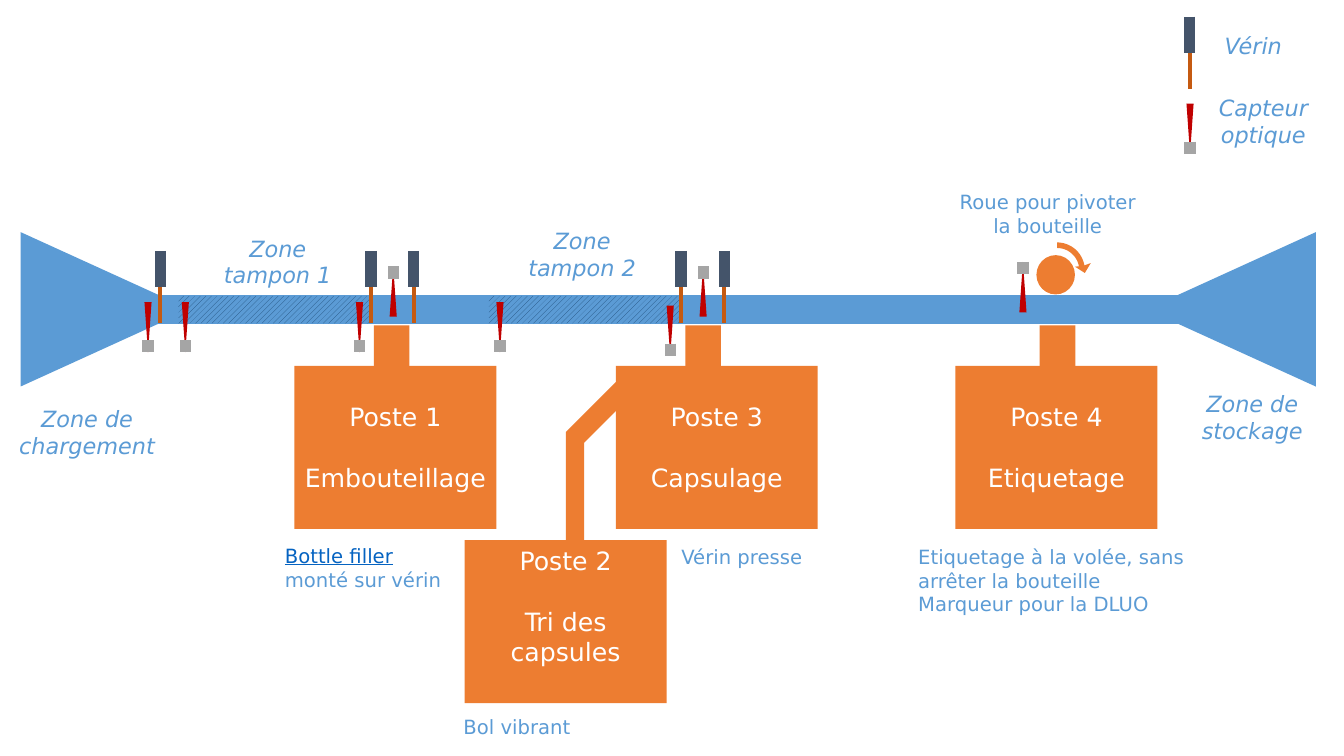
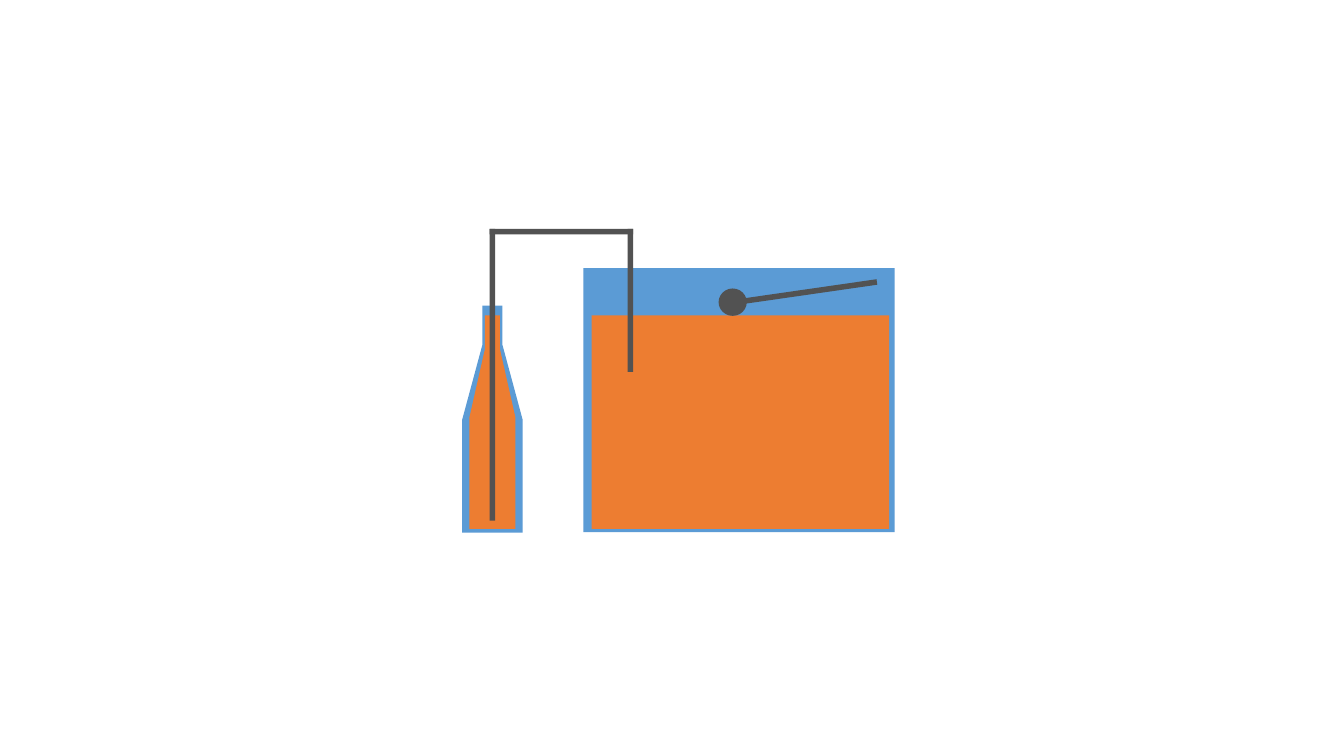
from math import cos, radians, sin

from lxml import etree
from pptx import Presentation
from pptx.dml.color import RGBColor
from pptx.enum.dml import MSO_PATTERN
from pptx.enum.shapes import MSO_CONNECTOR, MSO_SHAPE
from pptx.enum.text import MSO_ANCHOR, PP_ALIGN
from pptx.oxml.ns import qn
from pptx.util import Cm, Pt

RECT = MSO_SHAPE.RECTANGLE
TRIANGLE = MSO_SHAPE.ISOSCELES_TRIANGLE
OVAL = MSO_SHAPE.OVAL
STRAIGHT = MSO_CONNECTOR.STRAIGHT
HATCH = MSO_PATTERN.WIDE_UPWARD_DIAGONAL
LEFT, CENTER = PP_ALIGN.LEFT, PP_ALIGN.CENTER
MIDDLE = MSO_ANCHOR.MIDDLE

COLORS = {
    "blue": "5B9BD5", "orange": "ED7D31", "white": "FFFFFF", "link": "0563C1",
    "hatch": "1F4E79", "rod": "C55A11", "cylinder": "44546A",
    "beam": "C00000", "sensor": "A5A5A5", "pipe": "525252",
}
FONT = "DejaVu Sans"
ZONE = {"name": FONT, "size": Pt(16), "italic": True}
NOTE = {"name": FONT, "size": Pt(14)}
STATION = {"name": FONT, "size": Pt(18)}
LINE_GAP = Pt(22)

STATION_SIZE = (5.09, 4.11)
STATION_TOP = 9.22
BELT_TOP, BELT_HEIGHT = 7.44, 0.72
JACK_TOP, JACK_PART = 6.32, 0.91
SENSOR_WIDTH, SENSOR_HEIGHT, SENSOR_HEAD = 0.18, 1.27, 0.31
PIPE = 0.14


def rgb(color):
    return RGBColor.from_string(COLORS[color])


def paint(shape, color):
    shape.shadow.inherit = False
    shape.fill.solid()
    shape.fill.fore_color.rgb = rgb(color)
    shape.line.fill.background()
    return shape


def add_block(page, kind, box, color, rotation=0):
    shape = page.shapes.add_shape(kind, *map(Cm, box))
    shape.rotation = rotation
    return paint(shape, color)


def add_outline(page, points, color):
    points = [(Cm(x), Cm(y)) for x, y in points]
    builder = page.shapes.build_freeform(*points[0])
    builder.add_line_segments(points[1:], close=True)
    return paint(builder.convert_to_shape(), color)


def add_bar(page, x, top, bottom, color, width):
    bar = page.shapes.add_connector(STRAIGHT, Cm(x), Cm(top), Cm(x), Cm(bottom))
    bar.line.color.rgb = rgb(color)
    bar.line.width = Pt(width)
    etree.SubElement(bar.element.spPr, qn("a:effectLst"))


def add_span(para, text, style, color):
    span = para.add_run()
    span.text = text
    for name, value in style.items():
        setattr(span.font, name, value)
    span.font.color.rgb = rgb(color)
    return span


def add_label(page, box, lines, style, align):
    frame = page.shapes.add_textbox(*map(Cm, box)).text_frame
    frame.word_wrap = True
    for index, text in enumerate(lines):
        para = frame.add_paragraph() if index else frame.paragraphs[0]
        para.alignment = align
        if text:
            add_span(para, text, style, "blue")
    return frame


def add_station(page, left, top, number, task, bottom_inset=0.13):
    box = add_block(page, RECT, (left, top, *STATION_SIZE), "orange")
    frame = box.text_frame
    frame.word_wrap = True
    frame.vertical_anchor = MIDDLE
    frame.margin_bottom = Cm(bottom_inset)
    title, detail = frame.paragraphs[0], frame.add_paragraph()
    detail.space_before = LINE_GAP
    for para, text in ((title, f"Poste {number}"), (detail, task)):
        para.alignment = CENTER
        add_span(para, text, STATION, "white")


def add_jack(page, x, top=JACK_TOP):
    joint = top + JACK_PART
    add_bar(page, x, joint, joint + JACK_PART, "rod", 3)
    add_bar(page, x, top, joint, "cylinder", 8)


def add_sensor(page, x, top, below):
    """Optical sensor; its head sits below or above the beam."""
    box = (x - SENSOR_WIDTH / 2, top, SENSOR_WIDTH, SENSOR_HEIGHT)
    add_block(page, TRIANGLE, box, "beam", 180 if below else 0)
    head = top + SENSOR_HEIGHT - SENSOR_HEAD if below else top
    add_bar(page, x, head, head + SENSOR_HEAD, "sensor", 8)


def add_turn_arrow(page, x, y, outer, inner):
    """Quarter-circle arrow turning clockwise around x, y."""
    def arc(radius, angles):
        return [(x + radius * cos(radians(a)), y + radius * sin(radians(a)))
                for a in angles]

    head = [(27.49, 6.63), (27.34, 6.88), (27.09, 6.72)]
    sweep = range(-90, -9, 5)
    add_outline(page, arc(outer, sweep) + head + arc(inner, reversed(sweep)), "orange")


def add_bottle(page, x, half_body, half_neck, levels, color):
    top, neck, shoulder, bottom = levels
    right = [(half_neck, top), (half_neck, neck), (half_body, shoulder), (half_body, bottom)]
    points = [(x + dx, y) for dx, y in right]
    points += [(x - dx, y) for dx, y in reversed(right)]
    add_outline(page, points, color)


def build_line(page):
    # Conveyor with its loading and storage ends
    for left, rotation in ((0.71, 90), (29.08, 270)):
        add_block(page, TRIANGLE, (left, 5.66, 3.89, 4.27), "blue", rotation)
    add_block(page, RECT, (0.71, BELT_TOP, 29.11, BELT_HEIGHT), "blue")
    for left in (4.5, 12.32):
        buffer = add_block(page, RECT, (left, 7.46, 4.8, 0.69), "blue")
        buffer.fill.patterned()
        buffer.fill.pattern = HATCH
        buffer.fill.fore_color.rgb = rgb("hatch")
        buffer.fill.back_color.rgb = rgb("blue")

    # Stations, their feeders and the cap chute
    for left, number, task in ((7.42, 1, "Embouteillage"), (15.52, 3, "Capsulage"),
                               (24.08, 4, "Etiquetage")):
        add_station(page, left, STATION_TOP, number, task)
    add_station(page, 11.71, 13.61, 2, "Tri des capsules", 0.9)
    for left in (9.42, 17.27, 26.2):
        add_block(page, RECT, (left, 8.2, 0.9, 1.02), "orange")
    add_outline(page, [(14.26, 13.61), (14.26, 10.89), (15.52, 9.63),
                       (15.52, 10.36), (14.72, 11.16), (14.72, 13.61)], "orange")

    # Wheel that turns the bottle
    add_block(page, OVAL, (26.12, 6.43, 0.97, 0.99), "orange")
    add_turn_arrow(page, 26.64, 6.81, 0.7, 0.56)

    # Jacks and sensors, the last of each being the legend
    for x in (4.04, 9.35, 10.43, 17.16, 18.25):
        add_jack(page, x)
    add_jack(page, 29.98, 0.42)
    for x, top in ((3.73, 7.61), (4.67, 7.61), (9.06, 7.61), (12.6, 7.61),
                   (16.89, 7.7), (29.99, 2.61)):
        add_sensor(page, x, top, True)
    for x, top in ((9.91, 6.71), (17.72, 6.71), (25.78, 6.6)):
        add_sensor(page, x, top, False)

    # Zone and legend names
    for box, text in (
        ((29.16, 9.7, 4.8, 1.63), "Zone de stockage"),
        ((5.03, 5.79, 3.94, 1.63), "Zone tampon 1"),
        ((12.7, 5.61, 3.94, 1.63), "Zone tampon 2"),
        ((0, 10.08, 4.39, 1.63), "Zone de chargement"),
        ((30.3, 0.69, 2.57, 0.94), "Vérin"),
        ((29.82, 2.24, 4.04, 1.63), "Capteur optique"),
    ):
        add_label(page, box, [text], ZONE, CENTER)

    # Notes
    add_label(page, (23.88, 4.67, 5.05, 2.06), ["Roue pour pivoter la bouteille"], NOTE, CENTER)
    for box, lines in (
        ((22.89, 13.61, 8.2, 3.25),
         ["Etiquetage à la volée, sans arrêter la bouteille", "Marqueur pour la DLUO"]),
        ((11.43, 17.88, 8.2, 0.86), ["Bol vibrant"]),
        ((16.92, 13.61, 4.67, 0.86), ["Vérin presse"]),
    ):
        add_label(page, box, lines, NOTE, LEFT)
    para = add_label(page, (6.93, 13.59, 4.75, 2.64), [""], NOTE, LEFT).paragraphs[0]
    add_span(para, "Bottle filler", {**NOTE, "underline": True}, "link")
    add_span(para, " monté sur vérin", NOTE, "blue")


def build_filler(page):
    # Tank and bottle, each with its liquid
    add_block(page, RECT, (14.7, 6.76, 7.85, 6.65), "blue")
    add_block(page, RECT, (14.91, 7.95, 7.5, 5.38), "orange")
    add_bottle(page, 12.41, 0.76, 0.25, (7.7, 8.68, 10.57, 13.42), "blue")
    add_bottle(page, 12.41, 0.58, 0.19, (7.95, 8.8, 10.52, 13.33), "orange")

    # Float and its arm
    add_block(page, RECT, (18.54, 7.29, 3.58, PIPE), "pipe", 351.8)
    add_block(page, OVAL, (18.11, 7.27, 0.71, 0.69), "pipe")

    # Siphon
    left, right, top = 12.34, 15.82, 5.77
    for box in ((left, top, PIPE, 7.35), (right, top, PIPE, 3.6),
                (left, top, right - left + PIPE, PIPE)):
        add_block(page, RECT, box, "pipe")


def main():
    deck = Presentation()
    deck.slide_width, deck.slide_height = Cm(33.87), Cm(19.05)
    blank = deck.slide_layouts[6]
    for build in (build_line, build_filler):
        build(deck.slides.add_slide(blank))
    deck.save("out.pptx")


if __name__ == "__main__":
    main()
